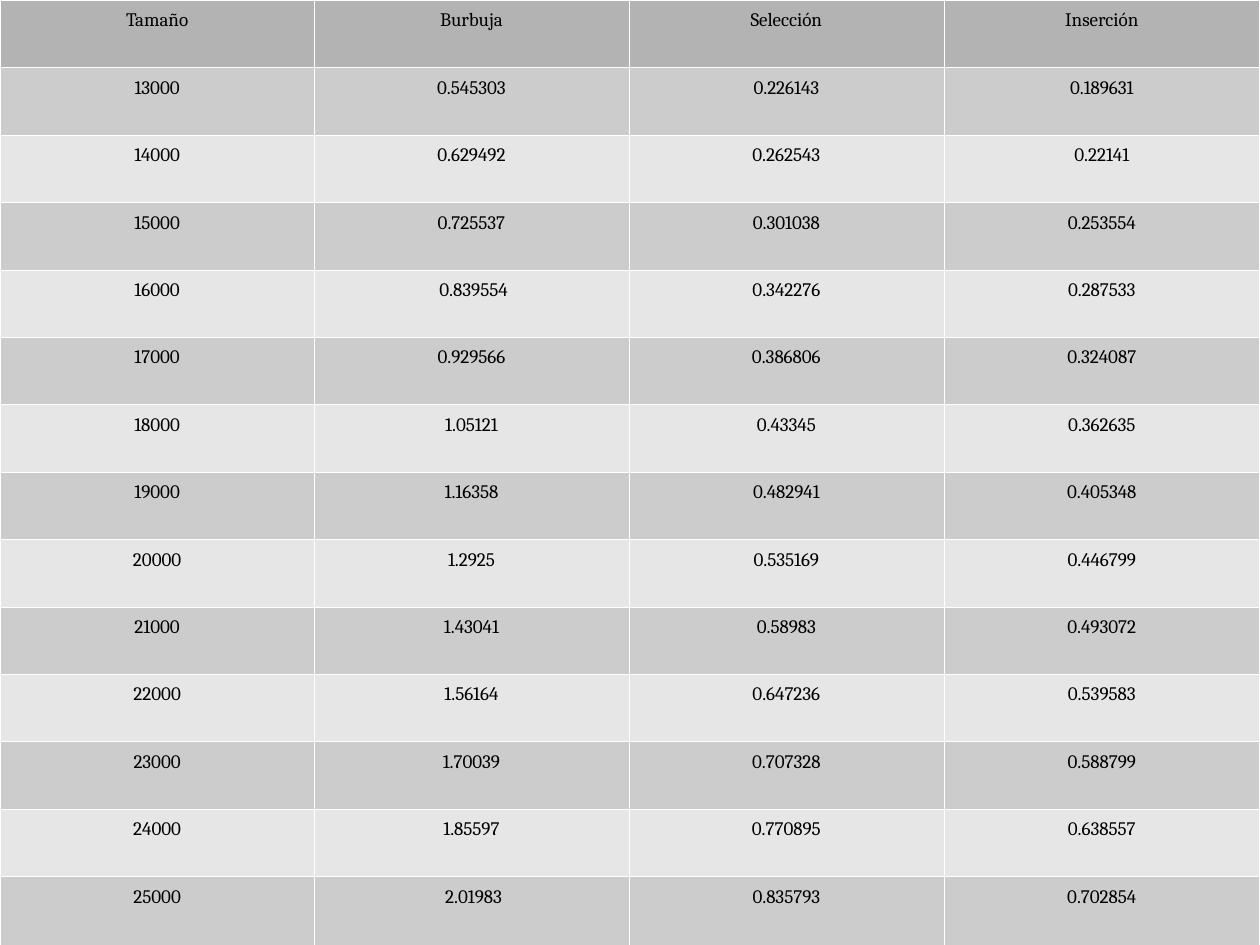
"""Build a slide with a table of sorting times by input size."""
from lxml.etree import SubElement
from pptx import Presentation
from pptx.dml.color import RGBColor
from pptx.enum.text import PP_ALIGN
from pptx.oxml.ns import qn
from pptx.util import Inches, Pt

BLACK = RGBColor(0x00, 0x00, 0x00)
WHITE = RGBColor(0xFF, 0xFF, 0xFF)
HEADER_GRAY = RGBColor(0xB3, 0xB3, 0xB3)
DARK_BAND = RGBColor(0xCC, 0xCC, 0xCC)
LIGHT_BAND = RGBColor(0xE6, 0xE6, 0xE6)
CM_PER_INCH = 2.54

ROWS = [
    ("Tamaño", "Burbuja", "Selección", "Inserción"),
    ("13000", "0.545303", "0.226143", "0.189631"),
    ("14000", "0.629492", "0.262543", "0.22141"),
    ("15000", "0.725537", "0.301038", "0.253554"),
    ("16000", " 0.839554", "0.342276", "0.287533"),
    ("17000", "0.929566", "0.386806", "0.324087"),
    ("18000", "1.05121", "0.43345", "0.362635"),
    ("19000", "1.16358", "0.482941", "0.405348"),
    ("20000", "1.2925", "0.535169", "0.446799"),
    ("21000", "1.43041", "0.58983", "0.493072"),
    ("22000", "1.56164", "0.647236", "0.539583"),
    ("23000", "1.70039", "0.707328", "0.588799"),
    ("24000", "1.85597", "0.770895", "0.638557"),
    ("25000", " 2.01983", "0.835793", "0.702854"),
]


def write(cell, text, size=12, font="Cambria", color=BLACK, spacing=1.18):
    p = cell.text_frame.paragraphs[0]
    p.alignment = PP_ALIGN.CENTER
    p.line_spacing = spacing
    r = p.add_run()
    r.text = text
    r.font.size = Pt(size)
    r.font.name = font
    r.font.color.rgb = color


def add_borders(cell, color=WHITE, width=0.11):
    tc_pr = cell._tc.get_or_add_tcPr()
    for side in ("a:lnL", "a:lnR", "a:lnT", "a:lnB"):
        ln = SubElement(tc_pr, qn(side), w=str(Pt(width)))
        fill = SubElement(ln, qn("a:solidFill"))
        SubElement(fill, qn("a:srgbClr"), val=str(color))


prs = Presentation()
prs.slide_width = Inches(28 / CM_PER_INCH)
prs.slide_height = Inches(21 / CM_PER_INCH)
s = prs.slides.add_slide(prs.slide_layouts[6])

table = s.shapes.add_table(len(ROWS), len(ROWS[0]), 0, 0,
                           prs.slide_width, prs.slide_height).table
table.first_row = False
table.horz_banding = False

for column, width in zip(table.columns, (2.75, 2.75, 2.76, 2.76)):
    column.width = Inches(width)

for i, (row, values) in enumerate(zip(table.rows, ROWS)):
    row.height = Inches(0.6 if i == len(ROWS) - 1 else 0.59)
    band = HEADER_GRAY if i == 0 else DARK_BAND if i % 2 else LIGHT_BAND
    for cell, value in zip(row.cells, values):
        write(cell, value)
        add_borders(cell)
        cell.fill.solid()
        cell.fill.fore_color.rgb = band

prs.save("out.pptx")
